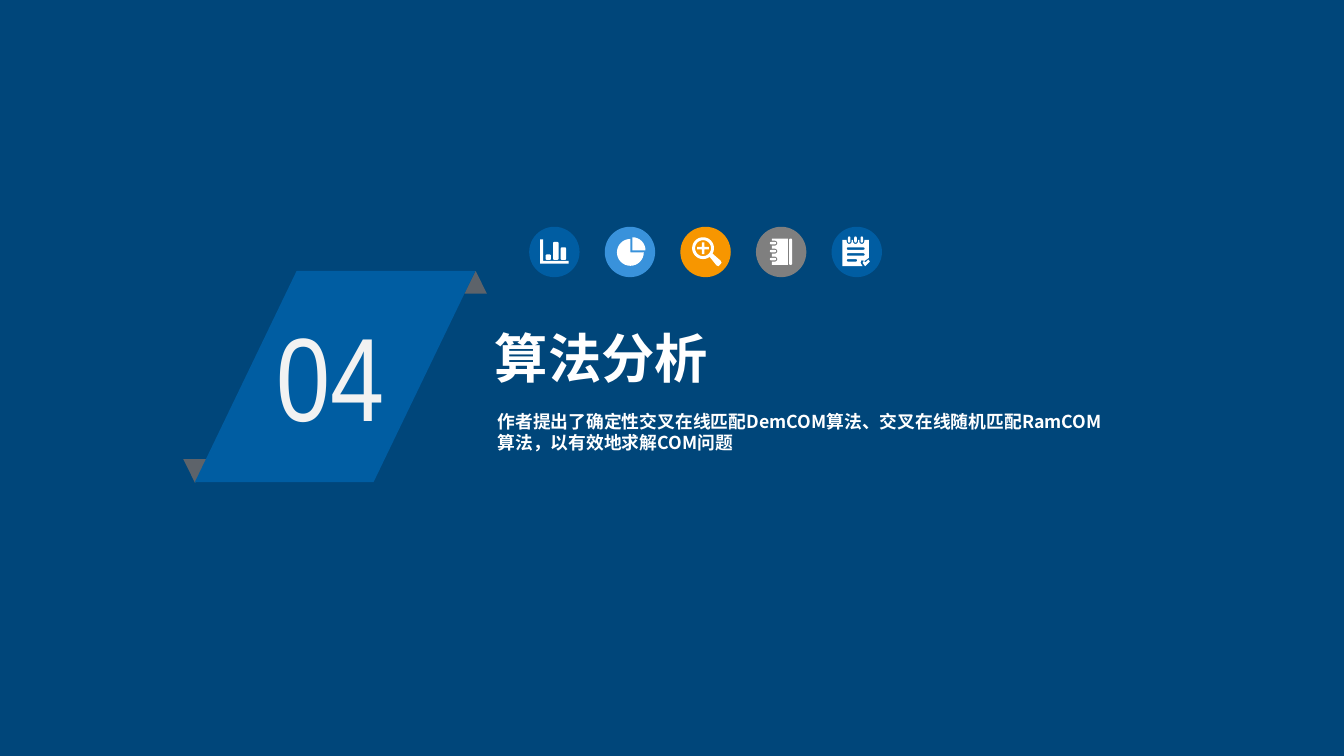
from dataclasses import dataclass
from math import cos, radians, sin

from lxml.etree import SubElement
from pptx import Presentation
from pptx.dml.color import RGBColor
from pptx.enum.shapes import MSO_SHAPE
from pptx.oxml.ns import qn
from pptx.util import Cm, Pt


@dataclass(frozen=True)
class Theme:
    backdrop: str = "00467A"
    blue: str = "005DA2"
    sky: str = "3992DB"
    orange: str = "F79600"
    gray: str = "7F7F7F"
    fold: str = "5D636A"
    white: str = "FFFFFF"
    number: str = "F2F2F2"
    number_font: str = "Arial Narrow"
    text_font: str = "Noto Sans CJK SC"
    number_size: int = 80
    title_size: int = 36
    body_size: int = 12


@dataclass(frozen=True)
class Box:
    left: float
    top: float
    width: float
    height: float

    def inner(self, left, top, width, height):
        return Box(self.left + left, self.top + top, width, height)

    def lengths(self):
        return [Cm(round(value, 2)) for value in
                (self.left, self.top, self.width, self.height)]


THEME = Theme()


def paint(shape, color):
    shape.shadow.inherit = False
    shape.fill.solid()
    shape.fill.fore_color.rgb = RGBColor.from_string(color)
    shape.line.fill.background()
    return shape


def add_part(parent, kind, box, color, adjust=(), turn=0):
    shape = paint(parent.shapes.add_shape(kind, *box.lengths()), color)
    for index, value in enumerate(adjust):
        shape.adjustments[index] = value
    shape.rotation = turn


def add_text(parent, box, text, size, font, color, bold=False, side=0.25, edge=0.13):
    frame = parent.shapes.add_textbox(*box.lengths()).text_frame
    frame.word_wrap = True
    frame.margin_left = frame.margin_right = Cm(side)
    frame.margin_top = frame.margin_bottom = Cm(edge)
    span = frame.paragraphs[0].add_run()
    span.text = text
    span.font.size = Pt(size)
    span.font.bold = bold
    span.font.color.rgb = RGBColor.from_string(color)
    span.font.name = font
    SubElement(span.font._element, qn("a:ea")).set("typeface", font)


def add_ribbon(page, box, number):
    ribbon = page.shapes.add_group_shape()
    # Folded corners, partly hidden by a strip in the background colour
    triangle = MSO_SHAPE.ISOSCELES_TRIANGLE
    add_part(ribbon, triangle, box.inner(5.54, 0, 2.29, 2.31), THEME.fold)
    add_part(ribbon, triangle, box.inner(-1.14, 2.74, 2.29, 2.31), THEME.fold, turn=180)
    add_part(ribbon, MSO_SHAPE.RECTANGLE, box.inner(-1.32, 0.54, 25.4, 3.94), THEME.backdrop)
    # Slanted face with the section number
    add_part(ribbon, MSO_SHAPE.PARALLELOGRAM, box, THEME.blue, [0.482])
    add_text(ribbon, box.inner(1.76, 0.67, 3.68, 3.61), number, THEME.number_size,
             THEME.number_font, THEME.number, side=0.18, edge=0.1)


# Outlines of the icons, in centimetres from the corner of their disc
def arc(x, y, radius, start, end, steps):
    angles = [radians(start + (end - start) * step / steps) for step in range(steps + 1)]
    return [(x + radius * cos(angle), y + radius * sin(angle)) for angle in angles]


def rounded(left, top, width, height, radius=0.03):
    right, bottom = left + width - radius, top + height - radius
    left, top = left + radius, top + radius
    corners = ((right, bottom), (left, bottom), (left, top), (right, top))
    return [point for index, (x, y) in enumerate(corners)
            for point in arc(x, y, radius, 90 * index, 90 * index + 90, 2)]


def bars_outlines():
    axes = [(0.26, 0.3), (0.33, 0.3), (0.33, 0.81), (0.94, 0.81), (0.94, 0.88), (0.26, 0.88)]
    return [axes] + [rounded(0.39 + 0.18 * index, 0.79 - height, 0.13, height)
                     for index, height in enumerate((0.13, 0.43, 0.3))]


def pie_outlines():
    return [[(0.61, 0.61)] + arc(0.61, 0.61, 0.32, 0, 270, 24),
            [(0.66, 0.56)] + arc(0.66, 0.56, 0.31, -90, 0, 8)]


def magnifier_outlines():
    x, y, arm, half = 0.54, 0.51, 0.14, 0.03
    handle = [(0.96, 0.81), (0.98, 0.86), (0.91, 0.94), (0.86, 0.92)]
    plus = [(x - half, y - arm), (x + half, y - arm), (x + half, y - half), (x + arm, y - half),
            (x + arm, y + half), (x + half, y + half), (x + half, y + arm), (x - half, y + arm),
            (x - half, y + half), (x - arm, y + half), (x - arm, y - half), (x - half, y - half)]
    return [arc(x, y, 0.26, 53, 390, 28) + handle, arc(x, y, 0.19, 360, 0, 24), plus]


def notebook_outlines():
    cover, rings = [(0.76, 0.91), (0.76, 0.28), (0.38, 0.28)], []
    for index in range(3):
        top = 0.33 + 0.19 * index
        cover += [(0.38, top)] + arc(0.45, top + 0.06, 0.06, -90, 90, 6) + [(0.38, top + 0.12)]
        rings.append(rounded(0.33, top + 0.03, 0.15, 0.06))
    return [cover + [(0.38, 0.91)], rounded(0.79, 0.28, 0.07, 0.63)] + rings


def notepad_outlines():
    sheet, rings = [(0.26, 0.94), (0.26, 0.31)], []
    for index in range(3):
        left = 0.36 + 0.15 * index
        sheet += [(left, 0.31)] + arc(left + 0.06, 0.35, 0.06, 180, 0, 6) + [(left + 0.12, 0.31)]
        rings.append(rounded(left + 0.03, 0.23, 0.06, 0.15))
    sheet += [(0.89, 0.31), (0.89, 0.74), (0.79, 0.81), (0.71, 0.8), (0.69, 0.86), (0.74, 0.94)]
    lines = [rounded(0.36, top, width, 0.06)
             for top, width in ((0.49, 0.43), (0.63, 0.43), (0.77, 0.25))]
    tick = [(0.74, 0.86), (0.77, 0.81), (0.8, 0.85), (0.88, 0.78), (0.91, 0.83), (0.8, 0.94)]
    return [sheet, tick] + rings + lines


def add_symbol(icon, disc, outlines):
    placed = [[(Cm(disc.left + x), Cm(disc.top + y)) for x, y in outline]
              for outline in outlines]
    builder = icon.shapes.build_freeform(*placed[0][0])
    for index, outline in enumerate(placed):
        if index:
            builder.move_to(*outline[0])
        builder.add_line_segments(outline[1:])
    paint(builder.convert_to_shape(), THEME.white)


def add_icons(page, box):
    icons = ((bars_outlines, THEME.blue), (pie_outlines, THEME.sky),
             (magnifier_outlines, THEME.orange), (notebook_outlines, THEME.gray),
             (notepad_outlines, THEME.blue))
    pitch = (box.width - box.height) / (len(icons) - 1)
    for index, (outlines, color) in enumerate(icons):
        disc = box.inner(pitch * index, 0, box.height, box.height)
        icon = page.shapes.add_group_shape()
        add_part(icon, MSO_SHAPE.OVAL, disc, color)
        add_symbol(icon, disc, outlines())


def add_heading(page, box, title, summary):
    add_text(page, box.inner(0, 0, 14.02, 1.73), title, THEME.title_size,
             THEME.text_font, THEME.white, bold=True, side=0.2, edge=0.1)
    add_text(page, box.inner(0.02, 2, box.width, 1.27), summary, THEME.body_size,
             THEME.text_font, THEME.white, bold=True)


def main():
    deck = Presentation()
    deck.slide_width, deck.slide_height = Cm(32), Cm(18)
    page = deck.slides.add_slide(deck.slide_layouts[6])
    page.background.fill.solid()
    page.background.fill.fore_color.rgb = RGBColor.from_string(THEME.backdrop)
    add_ribbon(page, Box(4.64, 6.45, 6.68, 5.03), "04")
    add_icons(page, Box(12.6, 5.4, 8.4, 1.2))
    add_heading(page, Box(11.58, 7.65, 15.11, 3.27), "算法分析",
                "作者提出了确定性交叉在线匹配DemCOM算法、交叉在线随机匹配RamCOM算法，以有效地求解COM问题")
    deck.save("out.pptx")


if __name__ == "__main__":
    main()
